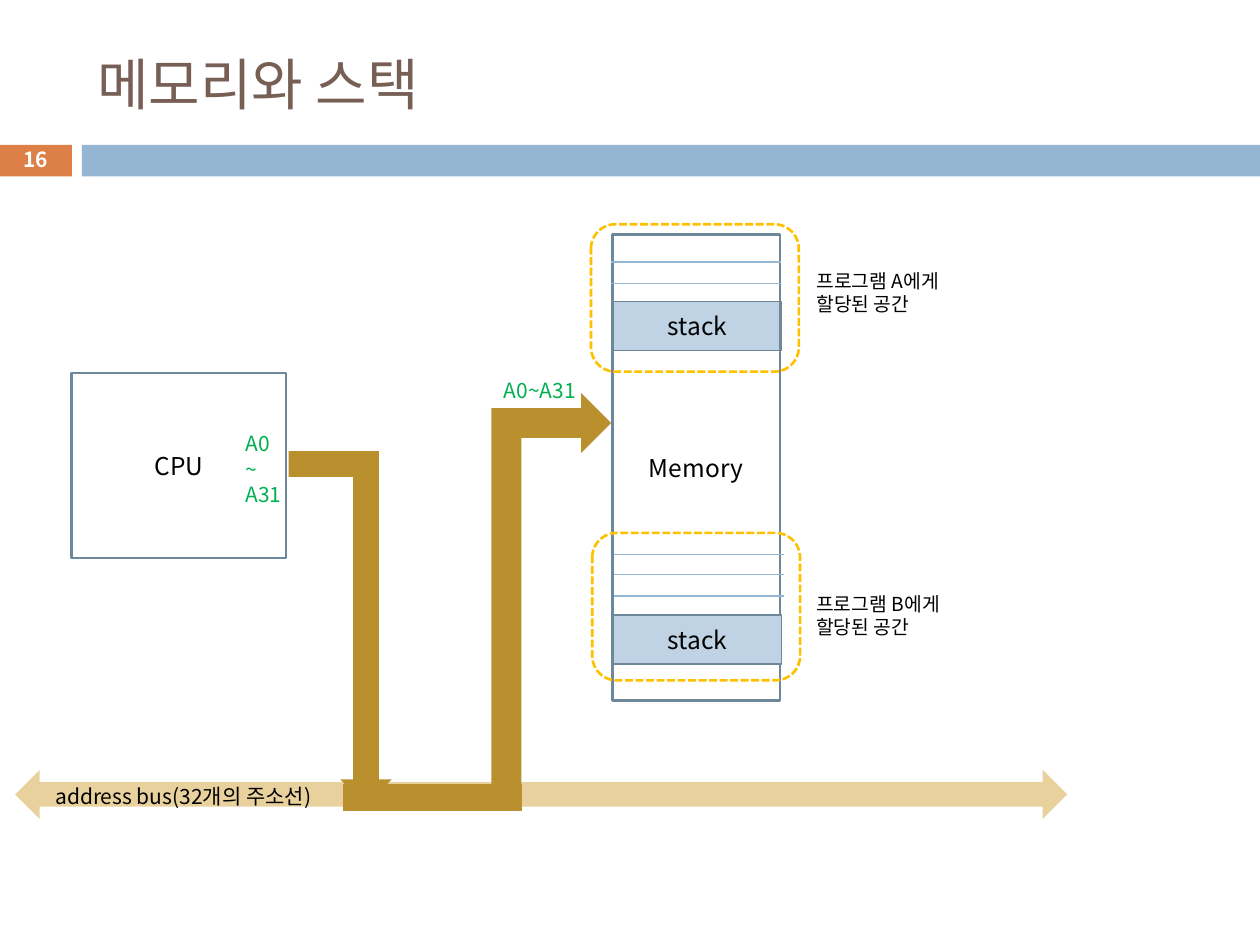
"""Build the slide on memory, stacks and the address bus."""
from lxml import etree
from pptx import Presentation
from pptx.dml.color import RGBColor
from pptx.enum.dml import MSO_LINE
from pptx.enum.shapes import MSO_CONNECTOR, MSO_SHAPE
from pptx.enum.text import MSO_ANCHOR, PP_ALIGN
from pptx.oxml.ns import qn
from pptx.util import Inches, Pt

RECT, PROCESS = MSO_SHAPE.RECTANGLE, MSO_SHAPE.FLOWCHART_PROCESS
BENT, BUS, ROUND = MSO_SHAPE.BENT_UP_ARROW, MSO_SHAPE.LEFT_RIGHT_ARROW, MSO_SHAPE.ROUNDED_RECTANGLE
STRAIGHT, DASH = MSO_CONNECTOR.STRAIGHT, MSO_LINE.SQUARE_DOT
LEFT, CENTER = PP_ALIGN.LEFT, PP_ALIGN.CENTER
TOP, MIDDLE = MSO_ANCHOR.TOP, MSO_ANCHOR.MIDDLE

FONT = "Noto Sans CJK KR"
BLACK, WHITE, GREEN, BROWN = "000000", "FFFFFF", "00B050", "775F55"
ORANGE, BLUE, PALE_BLUE, SLATE = "DD8047", "94B6D2", "BFD3E4", "6D879B"
GOLD, SAND, YELLOW = "BA8F2D", "E8D19D", "FFC000"

TITLE = "메모리와 스택"
BANDS = [((-0.01, 1.15, 0.58, 0.25), ORANGE), ((0.65, 1.15, 9.35, 0.25), BLUE)]
BLOCKS = [((0.57, 2.96, 1.7, 1.47), "CPU"), ((4.86, 1.86, 1.33, 3.7), "Memory")]
STACK_TOPS = (2.39, 4.88)
ROWS = [(4.85, (2.08, 2.25)), (4.87, (4.4, 4.56, 4.73))]
REGIONS = [(4.69, 1.78), (4.7, 4.23)]
ARROWS = [((2.29, 3.58, 0.82, 2.81), 0), ((2.8, 4.22, 3.15, 0.95), 270)]
LABELS = [
    ((0.34, 6.17, 2.79, 0.3), ["address bus(32개의 주소선)"], 12, BLACK, True),
    ((1.85, 3.37, 0.6, 0.71), ["A0", "~", "A31"], 12, GREEN, True),
    ((3.9, 2.95, 0.81, 0.3), ["A0~A31"], 12, GREEN, True),
    ((6.38, 2.09, 1.28, 0.47), ["프로그램 A에게", "할당된 공간"], 11, BLACK, False),
    ((6.38, 4.65, 1.27, 0.47), ["프로그램 B에게", "할당된 공간"], 11, BLACK, False),
]


def rgb(color):
    """Turn a hex string into a colour."""
    return RGBColor.from_string(color)


def write(sp, lines, size, color, align=LEFT, anchor=TOP, bold=False, wrap=True):
    """Fill a shape with one paragraph per line."""
    tf = sp.text_frame
    tf.word_wrap, tf.vertical_anchor = wrap, anchor
    for i, line in enumerate(lines):
        p = tf.add_paragraph() if i else tf.paragraphs[0]
        p.alignment = align
        r = p.add_run()
        r.text = line
        r.font.size, r.font.bold, r.font.name = Pt(size), bold, FONT
        r.font.color.rgb = rgb(color)
        etree.SubElement(r.font._element, qn("a:ea"), typeface=FONT)


def shape(kind, box, fill=None, line=None, width=1.5):
    """Add a flat preset shape."""
    sp = s.shapes.add_shape(kind, *map(Inches, box))
    sp.shadow.inherit = False
    if fill:
        sp.fill.solid()
        sp.fill.fore_color.rgb = rgb(fill)
    else:
        sp.fill.background()
    if line:
        sp.line.color.rgb = rgb(line)
        sp.line.width = Pt(width)
    else:
        sp.line.fill.background()
    return sp


def text(box, *args, **kwargs):
    """Add a text box."""
    write(s.shapes.add_textbox(*map(Inches, box)), *args, **kwargs)


def stack(top):
    """Add a stack block inside the memory column."""
    sp = shape(PROCESS, (4.87, top, 1.33, 0.39), PALE_BLUE, SLATE, 0.75)
    write(sp, ["stack"], 14, BLACK, CENTER, MIDDLE)


def row_line(x, y):
    """Add a thin line across the memory column."""
    c = s.shapes.add_connector(STRAIGHT, Inches(x), Inches(y), Inches(x + 1.35), Inches(y))
    c.line.color.rgb = rgb(BLUE)
    c.line.width = Pt(0.79)
    etree.SubElement(c._element.spPr, qn("a:effectLst"))


prs = Presentation()
prs.slide_width, prs.slide_height = Inches(10), Inches(7.5)
s = prs.slides.add_slide(prs.slide_layouts[5])

title = s.shapes.title
title.left, title.top, title.width, title.height = map(Inches, (0.67, 0.25, 8.92, 0.82))
write(title, [TITLE], 32, BROWN, LEFT, MIDDLE)

for box, fill in BANDS:
    shape(RECT, box, fill)
text((-0.01, 1.13, 0.58, 0.27), ["16"], 11.9, WHITE, CENTER, MIDDLE, bold=True)

stack(STACK_TOPS[0])
for box, name in BLOCKS:
    write(shape(PROCESS, box, line=SLATE), [name], 14, BLACK, CENTER, MIDDLE)

shape(BUS, (0.12, 6.11, 8.35, 0.39), SAND)
for box, lines, size, color, wrap in LABELS:
    text(box, lines, size, color, wrap=wrap)

for box, angle in ARROWS:
    arrow = shape(BENT, box, GOLD)
    arrow.rotation = angle
    arrow._element.spPr.xfrm.set("flipV", "1")
for x, tops in ROWS:
    for y in tops:
        row_line(x, y)
shape(PROCESS, (2.72, 6.22, 1.42, 0.22), GOLD)
stack(STACK_TOPS[1])
for x, y in REGIONS:
    shape(ROUND, (x, y, 1.65, 1.17), line=YELLOW).line.dash_style = DASH

prs.save("out.pptx")
